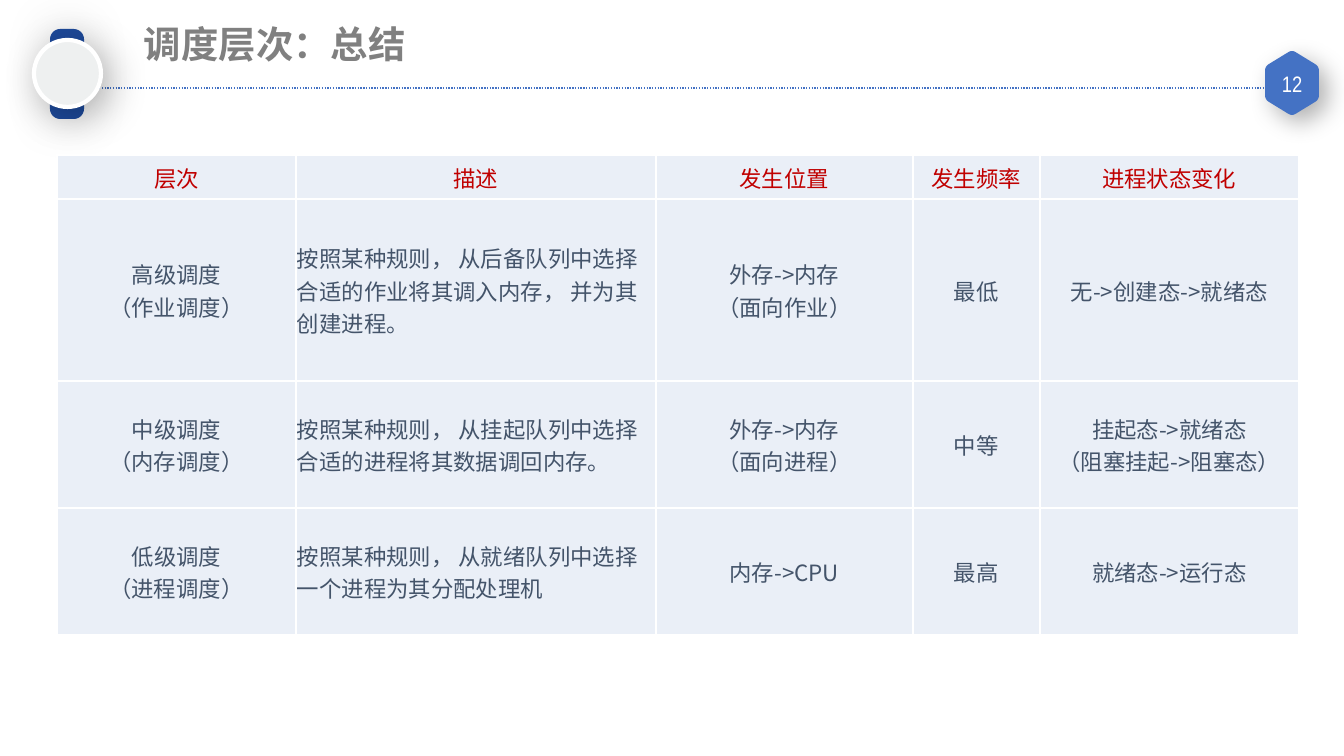
from dataclasses import dataclass

from lxml.etree import SubElement
from pptx import Presentation
from pptx.dml.color import RGBColor
from pptx.enum.dml import MSO_LINE
from pptx.enum.shapes import MSO_CONNECTOR, MSO_SHAPE
from pptx.enum.text import MSO_ANCHOR, MSO_AUTO_SIZE, PP_ALIGN
from pptx.oxml.ns import qn
from pptx.util import Pt

EMU_PER_PX = 914400 / 134.4


@dataclass(frozen=True)
class Theme:
    """Colours, fonts and type sizes of the slide."""
    accent: str = "4472C4"
    strap: str = "1D4999"
    dial: str = "EEF0F0"
    white: str = "FFFFFF"
    shadow: str = "000000"
    title: str = "808080"
    header: str = "C00000"
    body: str = "44546A"
    cell: str = "EAEFF7"
    font: str = "Noto Sans CJK SC"
    number_font: str = "Arial Narrow"
    title_size: int = 20
    text_size: int = 12


def px(length):
    """Turn pixels into EMU."""
    return round(length * EMU_PER_PX)


def rgb(color):
    """Turn a hex string into a colour."""
    return RGBColor.from_string(color)


def rounded_outline(corners, cut=0.12, steps=6):
    """Return the points of a polygon whose corners are rounded."""
    points = []
    for index, corner in enumerate(corners):
        before, after = corners[index - 1], corners[(index + 1) % len(corners)]
        for step in range(steps + 1):
            t = step / steps
            points.append(tuple(
                c + cut * ((1 - t) ** 2 * (b - c) + t ** 2 * (a - c))
                for b, c, a in zip(before, corner, after)))
    return points


class SlideBuilder:
    """Draws styled elements on one slide."""

    def __init__(self, slide, theme):
        """Keep the slide and its theme."""
        self.slide, self.shapes, self.theme = slide, slide.shapes, theme

    def set_text(self, frame, text, color, size, font, align, bold=False):
        """Fill a text frame and format its only paragraph."""
        frame.text = text
        paragraph = frame.paragraphs[0]
        paragraph.alignment = align
        for run in paragraph.runs:
            run.font.name, run.font.size, run.font.bold = font, Pt(size), bold
            run.font.color.rgb = rgb(color)
            SubElement(run.font._element, qn("a:ea"), typeface=font)
        return paragraph

    def inset(self, frame):
        """Set the margins shared by the title and the page number."""
        frame.margin_left = frame.margin_right = px(10)
        frame.margin_top = frame.margin_bottom = px(5)
        frame.word_wrap = True

    def title(self, text, left, top, width, height):
        """Place the title placeholder."""
        title = self.shapes.title
        title.left, title.top, title.width, title.height = map(px, (left, top, width, height))
        frame = title.text_frame
        self.inset(frame)
        frame.auto_size = MSO_AUTO_SIZE.NONE
        frame.vertical_anchor = MSO_ANCHOR.TOP
        paragraph = self.set_text(frame, text, self.theme.title, self.theme.title_size,
                                  self.theme.font, PP_ALIGN.LEFT, True)
        paragraph.line_spacing = 0.9

    def page_number(self, text, left, top, width, height):
        """Add the page number text box."""
        frame = self.shapes.add_textbox(*map(px, (left, top, width, height))).text_frame
        self.inset(frame)
        frame.vertical_anchor = MSO_ANCHOR.MIDDLE
        self.set_text(frame, text, self.theme.white, self.theme.text_size,
                      self.theme.number_font, PP_ALIGN.CENTER)

    def rule(self, left, right, y):
        """Add a dotted horizontal line."""
        rule = self.shapes.add_connector(MSO_CONNECTOR.STRAIGHT, px(left), px(y), px(right), px(y))
        rule.line.color.rgb = rgb(self.theme.accent)
        rule.line.width = Pt(0.75)
        rule.line.dash_style = MSO_LINE.ROUND_DOT
        SubElement(rule._element.spPr, qn("a:effectLst"))

    def finish(self, shape, fill, outline, width, shadow):
        """Apply fill, outline and an (opacity, blur, distance) shadow."""
        shape.fill.solid()
        shape.fill.fore_color.rgb = rgb(fill)
        if outline:
            shape.line.color.rgb = rgb(outline)
            shape.line.width = Pt(width)
        else:
            shape.line.fill.background()
        shape.shadow.inherit = False
        opacity, blur, distance = shadow
        effects = shape._element.spPr.find(qn("a:effectLst"))
        outer = SubElement(effects, qn("a:outerShdw"), blurRad=str(Pt(blur)), dist=str(Pt(distance)),
                           dir="2700000", algn="ctr", rotWithShape="0")
        color = SubElement(outer, qn("a:srgbClr"), val=self.theme.shadow)
        SubElement(color, qn("a:alpha"), val=str(opacity * 1000))

    def preset(self, kind, left, top, width, height, fill, shadow, outline=None, line_width=0):
        """Add a preset shape with a shadow."""
        shape = self.shapes.add_shape(kind, *map(px, (left, top, width, height)))
        self.finish(shape, fill, outline, line_width, shadow)
        return shape

    def badge(self, corners, shadow):
        """Add a polygon with rounded corners."""
        start, *rest = [(px(x), px(y)) for x, y in rounded_outline(corners)]
        builder = self.shapes.build_freeform(*start)
        builder.add_line_segments(rest, close=True)
        self.finish(builder.convert_to_shape(), self.theme.accent, self.theme.accent, 1, shadow)

    def borders(self, cell):
        """Draw the four white borders of a cell."""
        properties = cell._tc.get_or_add_tcPr()
        for side in ("lnL", "lnR", "lnT", "lnB"):
            line = SubElement(properties, qn(f"a:{side}"), w=str(Pt(1)))
            SubElement(SubElement(line, qn("a:solidFill")), qn("a:srgbClr"), val=self.theme.white)

    def table(self, left, top, widths, heights, rows, left_column):
        """Add the table with a coloured header row and one left-aligned column."""
        table = self.shapes.add_table(len(heights), len(widths), px(left), px(top),
                                      px(sum(widths)), px(sum(heights))).table
        table.horz_banding = False
        for column, width in zip(table.columns, widths):
            column.width = px(width)
        for r, (height, texts) in enumerate(zip(heights, rows)):
            table.rows[r].height = px(height)
            for c, text in enumerate(texts):
                cell = table.cell(r, c)
                self.borders(cell)
                cell.fill.solid()
                cell.fill.fore_color.rgb = rgb(self.theme.cell)
                cell.margin_left = cell.margin_right = cell.margin_top = px(1)
                cell.margin_bottom = 0
                cell.vertical_anchor = MSO_ANCHOR.MIDDLE
                align = PP_ALIGN.LEFT if r and c == left_column else PP_ALIGN.CENTER
                color = self.theme.body if r else self.theme.header
                self.set_text(cell.text_frame, text, color, self.theme.text_size, self.theme.font, align)


def main():
    """Build the scheduling summary slide."""
    deck = Presentation()
    deck.slide_width, deck.slide_height = px(1344), px(756)
    theme = Theme()
    builder = SlideBuilder(deck.slides.add_slide(deck.slide_layouts[5]), theme)

    builder.rule(44, 1267, 88)
    hexagon = [(1292, 51), (1318, 67), (1318, 99), (1292, 115), (1266, 99), (1266, 67)]
    builder.badge(hexagon, (30, 13, 6))
    builder.page_number("12", 1266, 67, 52, 34)
    strap = builder.preset(MSO_SHAPE.ROUNDED_RECTANGLE, 50, 29, 34, 90, theme.strap, (17, 27, 0))
    strap.adjustments[0] = 0.3
    builder.preset(MSO_SHAPE.OVAL, 34, 40, 67, 67, theme.dial, (28, 22, 6), theme.white, 2.25)
    builder.title("调度层次：总结", 134, 21, 473, 55)

    levels = [
        ("层次", "描述", "发生位置", "发生频率", "进程状态变化"),
        ("高级调度\v（作业调度）",
         "按照某种规则， 从后备队列中选择合适的作业将其调入内存， 并为其创建进程。",
         "外存->内存\v（面向作业）", "最低", "无->创建态->就绪态"),
        ("中级调度\v（内存调度）",
         "按照某种规则， 从挂起队列中选择合适的进程将其数据调回内存。",
         "外存->内存\v（面向进程）", "中等", "挂起态->就绪态\v（阻塞挂起->阻塞态）"),
        ("低级调度\v（进程调度）",
         "按照某种规则， 从就绪队列中选择一个进程为其分配处理机",
         "内存->CPU", "最高", "就绪态->运行态"),
    ]
    builder.table(57, 155, [239, 360, 257, 127, 259], [44, 182, 127, 127], levels, left_column=1)
    deck.save("out.pptx")


if __name__ == "__main__":
    main()
